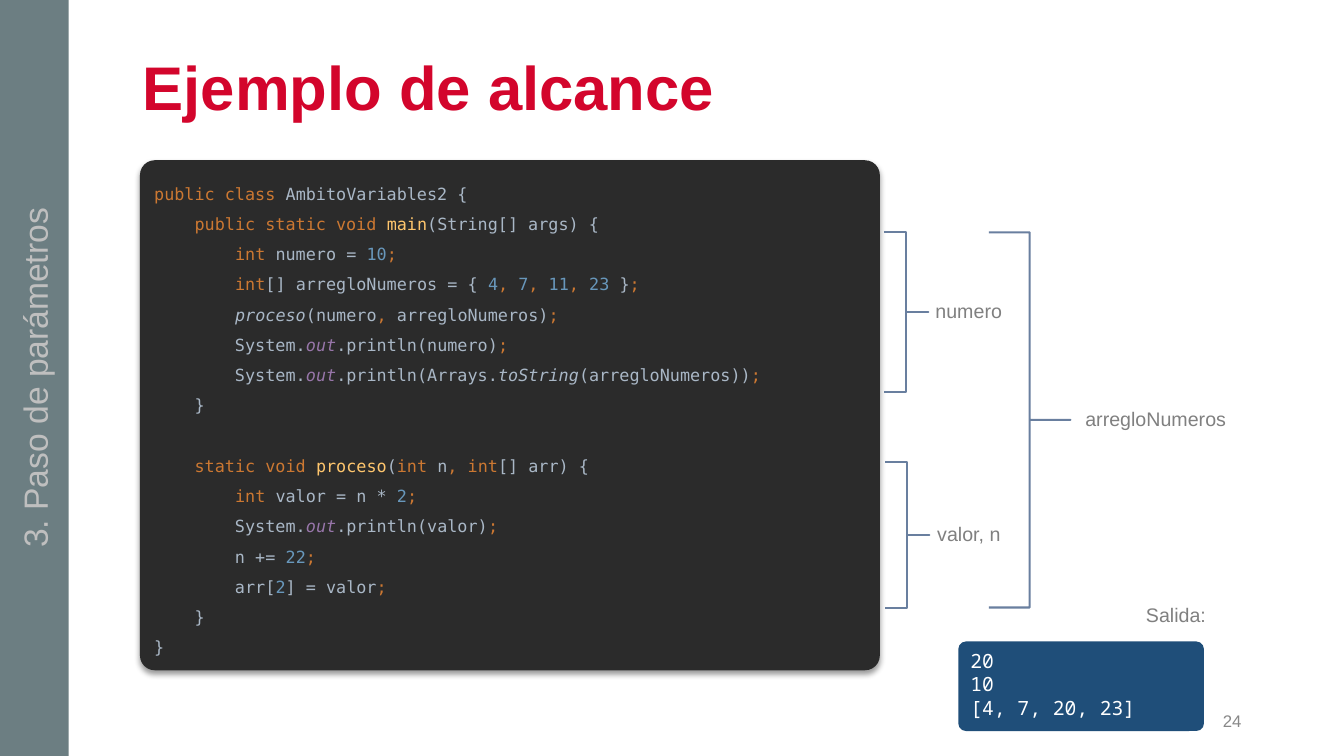
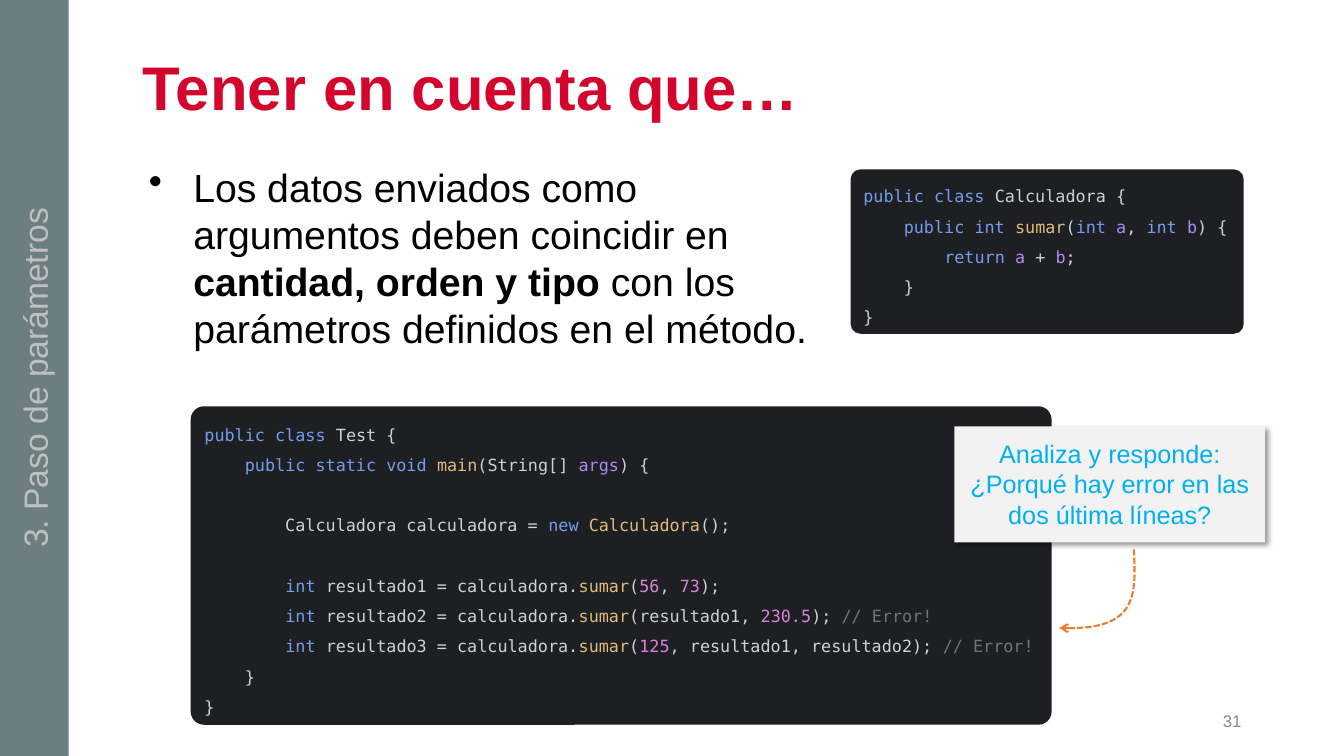
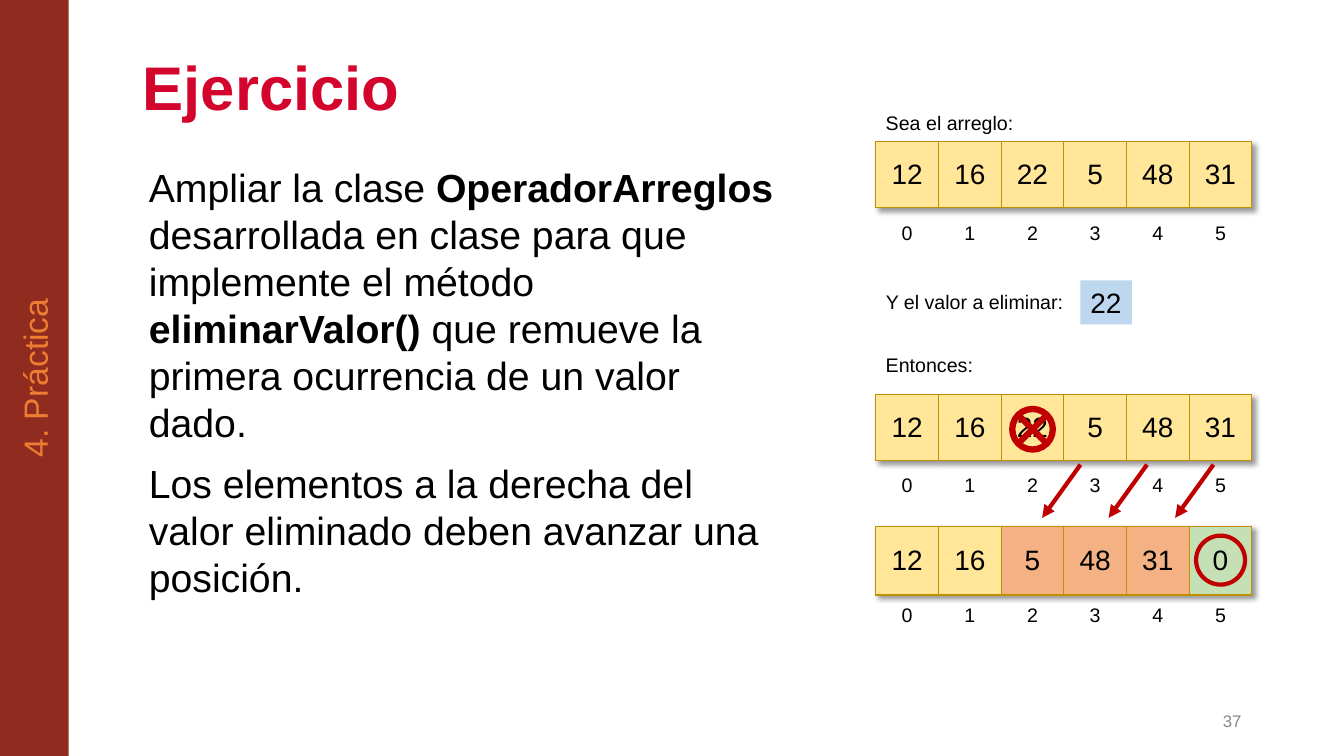
from copy import deepcopy

from lxml import etree
from pptx import Presentation
from pptx.dml.color import RGBColor
from pptx.enum.dml import MSO_LINE
from pptx.enum.shapes import MSO_CONNECTOR, MSO_SHAPE
from pptx.enum.text import MSO_ANCHOR, MSO_AUTO_SIZE, PP_ALIGN
from pptx.oxml.ns import qn
from pptx.util import Pt

RECTANGLE, ROUNDED = MSO_SHAPE.RECTANGLE, MSO_SHAPE.ROUNDED_RECTANGLE
BRACE, OVAL = MSO_SHAPE.RIGHT_BRACE, MSO_SHAPE.OVAL
JUNCTION = MSO_SHAPE.FLOWCHART_SUMMING_JUNCTION
STRAIGHT, DASHED = MSO_CONNECTOR.STRAIGHT, MSO_LINE.SQUARE_DOT
LEFT, CENTER, RIGHT = PP_ALIGN.LEFT, PP_ALIGN.CENTER, PP_ALIGN.RIGHT
TOP, MIDDLE = MSO_ANCHOR.TOP, MSO_ANCHOR.MIDDLE
GROW, FIXED = MSO_AUTO_SIZE.SHAPE_TO_FIT_TEXT, MSO_AUTO_SIZE.NONE

COLORS = {
    "title": "D3052C", "number": "888888", "black": "000000", "white": "FFFFFF",
    "slate": "6C7E82", "silver": "BFBFBF", "brick": "902B1F", "orange": "ED7D31",
    "brace": "697F9F", "label": "808080", "output": "1F4E79",
    "note": "F2F2F2", "question": "00B0F0",
    "cell": "FFE699", "moved": "F4B183", "freed": "C5E0B4", "border": "BF9000",
    "value": "BDD7EE", "mark": "C00000",
    "dark": "2B2B2B", "dark_text": "A9B7C6", "dark_keyword": "CC7832",
    "dark_method": "FFC66D", "dark_number": "6897BB", "dark_field": "9876AA",
    "ink": "1E1F22", "ink_text": "CED0D6", "ink_keyword": "749DED",
    "ink_method": "DEBC7E", "ink_number": "D981DE", "ink_name": "B189F5",
    "ink_comment": "6F737A",
}
PROSE_TAGS = {"b": {"bold": True}}
DARK_TAGS = {
    "k": {"color": "dark_keyword"}, "m": {"color": "dark_method"},
    "n": {"color": "dark_number"}, "i": {"italic": True},
    "f": {"color": "dark_field", "italic": True},
}
INK_TAGS = {
    "k": {"color": "ink_keyword"}, "m": {"color": "ink_method"},
    "n": {"color": "ink_number"}, "p": {"color": "ink_name"},
    "c": {"color": "ink_comment"},
}
NO_GRID_STYLE = "{2D5ABB26-0587-4C30-8999-92F81FD0307C}"
CELL = 44.77
INDEX_HEIGHT = 29.5

SCOPE_CODE = """`kpublic class `AmbitoVariables2 {
    `kpublic static void `` `mmain`(String[] args) {
        `kint `numero = `n10``k;`
        `kint`[] arregloNumeros = { `n4``k, ``n7``k, ``n11``k, ``n23 `}`k;`
        `iproceso`(numero`k, `arregloNumeros)`k;`
        System.`fout`.println(numero)`k;`
        System.`fout`.println(Arrays.`itoString`(arregloNumeros))`k;`
    }

    `kstatic void ``mproceso`(`kint `n`k, int`[] arr) {
        `kint `valor = n * `n2``k;`
        System.`fout`.println(valor)`k;`
        n += `n22``k;`
        arr[`n2`] = valor`k;`
    }
}""".replace("`` `m", "``m")
ADDER_CODE = """`kpublic class `Calculadora {
    `kpublic int ``msumar`(`kint ``pa`, `kint ``pb`) {
        `kreturn ``pa `+ `pb`;
    }
}"""
TEST_CODE = """`kpublic class `Test {
    `kpublic static void ``mmain`(String[] `pargs`) {

        Calculadora calculadora = `knew ``mCalculadora`();

        `kint `resultado1 = calculadora.`msumar`(`n56`, `n73`);
        `kint `resultado2 = calculadora.`msumar`(resultado1, `n230.5`); `c// Error!`
        `kint `resultado3 = calculadora.`msumar`(`n125`, resultado1, resultado2); `c// Error!`
    }
}"""


def rgb(name):
    """Return the named colour."""
    return RGBColor.from_string(COLORS[name])


def add_span(para, text, size, color, font="Arial", bold=False, italic=False):
    """Add one run per line of text, with line breaks of the same size."""
    for number, line in enumerate(text.split("\n")):
        if number:
            para.add_line_break()
            para._p[-1].append(deepcopy(para.runs[-1]._r.rPr))
        if line:
            span = para.add_run()
            span.text = line
            span.font.name, span.font.size = font, Pt(size)
            span.font.bold, span.font.italic = bold, italic
            span.font.color.rgb = rgb(color)


def write(frame, *texts, align=LEFT, anchor=TOP, wrap=True, grow=False, inset=3.6,
          spacing=1, gap=0, indent=(0, 0), bullet=None, tags=PROSE_TAGS, **style):
    """Write paragraphs; text between backticks takes the style of its first letter."""
    frame.word_wrap, frame.vertical_anchor = wrap, anchor
    frame.auto_size = GROW if grow else FIXED
    frame.margin_left = frame.margin_right = Pt(7.2)
    frame.margin_top = frame.margin_bottom = Pt(inset)
    for number, text in enumerate(texts):
        para = frame.add_paragraph() if number else frame.paragraphs[0]
        para.alignment, para.line_spacing = align, spacing
        para.space_before = Pt(gap if number else 0)
        properties = para._p.get_or_add_pPr()
        properties.set("marL", str(Pt(indent[0])))
        properties.set("indent", str(Pt(indent[1])))
        if bullet:
            etree.SubElement(properties, qn("a:buChar")).set("char", bullet)
        for position, piece in enumerate(text.split("`")):
            if position % 2:
                add_span(para, piece[1:], **{**style, **tags[piece[0]]})
            else:
                add_span(para, piece, **style)


def add_text(page, box, *texts, **style):
    """Add a text box."""
    write(page.shapes.add_textbox(*map(Pt, box)).text_frame, *texts, **style)


def add_label(page, box, text, color="black"):
    """Add a short one-line label."""
    add_text(page, box, text, size=14, color=color, wrap=False, grow=True)


def paint(shape, fill=None, line=None, weight=1):
    """Set the fill and line of a shape and drop its shadow."""
    shape.shadow.inherit = False
    if fill:
        shape.fill.solid()
        shape.fill.fore_color.rgb = rgb(fill)
    else:
        shape.fill.background()
    if line:
        shape.line.color.rgb, shape.line.width = rgb(line), Pt(weight)
    else:
        shape.line.fill.background()


def add_shape(page, kind, box, corner=None, **look):
    """Add a painted preset shape, with a corner radius in points if given."""
    shape = page.shapes.add_shape(kind, *map(Pt, box))
    paint(shape, **look)
    if corner:
        shape.adjustments[0] = corner / min(box[2:])
    return shape


def fill_shadow(effects, angle):
    """Put a soft outer shadow in an effect list."""
    shadow = etree.SubElement(effects, qn("a:outerShdw"), blurRad=str(Pt(4)),
                              dist=str(Pt(3)), dir=str(angle * 60000),
                              algn="tl", rotWithShape="0")
    color = etree.SubElement(shadow, qn("a:srgbClr"), val=COLORS["black"])
    etree.SubElement(color, qn("a:alpha"), val="40000")


def add_arrowhead(line, kind):
    """End a line with an arrowhead."""
    etree.SubElement(line._get_or_add_ln(), qn("a:tailEnd"), type=kind)


def start_page(deck, title, number, section, band, section_color):
    """Add a page with its title, number and section band."""
    page = deck.slides.add_slide(deck.slide_layouts[6])
    add_text(page, (95, 33.8, 799, 62), title, size=44, color="title", bold=True,
             spacing=0.9, anchor=MIDDLE)
    add_text(page, (678, 500.5, 216, 28.8), number, size=12, color="number",
             align=RIGHT, anchor=MIDDLE)
    side = add_shape(page, RECTANGLE, (0, 0, 49, 540), fill=band)
    write(side.text_frame, section, size=24, color=section_color, align=CENTER,
          anchor=MIDDLE)
    side.text_frame._txBody.bodyPr.set("vert", "vert270")
    return page


def add_code(page, box, code, theme, tags, corner, wrap=False):
    """Add a code panel."""
    panel = add_shape(page, ROUNDED, box, corner, fill=theme)
    write(panel.text_frame, code, size=12, color=theme + "_text", tags=tags,
          font="DejaVu Sans Mono", spacing=1.5, anchor=MIDDLE, wrap=wrap, grow=True)
    return panel


def add_scope(page, box, name, width, gap):
    """Add a square brace with the name of its variable at the tip."""
    left, top, breadth, height = box
    brace = add_shape(page, BRACE, box, line="brace", weight=1.5)
    brace.adjustments[0], brace.adjustments[1] = 0, 0.5
    add_label(page, (left + breadth + gap, top + height / 2 - 13, width, 24.2), name,
              "label")


def add_output(page, box, lines):
    """Add the console output with its label above."""
    left, top, width, height = box
    add_label(page, (left + width - 48.5, top - 31, 57.6, 24.2), "Salida:", "label")
    panel = add_shape(page, ROUNDED, box, 5.5, fill="output")
    write(panel.text_frame, *lines, size=14, color="white", font="Noto Sans Mono")


def add_note(page, box, lines):
    """Add a shadowed note with a dashed curved arrow below it."""
    left, top, width, height = box
    note = add_shape(page, RECTANGLE, box, fill="note")
    fill_shadow(note._element.spPr.find(qn("a:effectLst")), 45)
    write(note.text_frame, *lines, size=18, color="question", align=CENTER, inset=8.6)
    right, start = left + width - 93.7, top + height + 5
    controls = ((right, start), (right + 2, start + 35.3),
                (right + 1.5, start + 58.4), (right - 53.3, start + 56.2))
    points = [curve_point(controls, step / 24) for step in range(25)]
    builder = page.shapes.build_freeform(*points[0])
    builder.add_line_segments(points[1:], close=False)
    curve = builder.convert_to_shape()
    paint(curve, line="orange", weight=1.5)
    curve.line.dash_style = DASHED
    add_arrowhead(curve.line, "arrow")


def curve_point(controls, share):
    """Return the point at a share of a cubic curve."""
    rest = 1 - share
    weights = (rest ** 3, 3 * rest ** 2 * share, 3 * rest * share ** 2, share ** 3)
    return [Pt(sum(weight * control[axis] for weight, control in zip(weights, controls)))
            for axis in (0, 1)]


def add_row(page, left, top, height, values, size, fills=None):
    """Add a one-row table, bordered and shadowed when it has fills."""
    table = page.shapes.add_table(1, len(values), Pt(left), Pt(top),
                                  Pt(CELL * len(values)), Pt(height)).table
    table.first_row = table.horz_banding = False
    properties = table._tbl.tblPr
    properties.find(qn("a:tableStyleId")).text = NO_GRID_STYLE
    if fills:
        effects = etree.Element(qn("a:effectLst"))
        properties.insert(0, effects)
        fill_shadow(effects, 45)
    table.rows[0].height = Pt(height)
    for column, value in enumerate(values):
        table.columns[column].width = Pt(CELL)
        cell = table.cell(0, column)
        write_cell(cell, value, size)
        if fills:
            add_borders(cell)
            cell.fill.solid()
            cell.fill.fore_color.rgb = rgb(fills[column])
        else:
            cell.fill.background()


def write_cell(cell, value, size):
    """Centre a value in a table cell."""
    cell.vertical_anchor = MIDDLE
    para = cell.text_frame.paragraphs[0]
    para.alignment = CENTER
    add_span(para, str(value), size, "black")


def add_borders(cell):
    """Draw the four borders of a table cell."""
    for side in ("a:lnL", "a:lnR", "a:lnT", "a:lnB"):
        border = etree.SubElement(cell._tc.get_or_add_tcPr(), qn(side), w=str(Pt(1)))
        fill = etree.SubElement(border, qn("a:solidFill"))
        etree.SubElement(fill, qn("a:srgbClr"), val=COLORS["border"])


def add_array(page, left, top, height, values, fills, gap):
    """Add an array with its indices below."""
    add_row(page, left, top, height, values, 20, fills)
    add_row(page, left, top + height + gap, INDEX_HEIGHT, range(len(values)), 14)


def add_mark(page, kind, center, size, weight):
    """Add an unfilled mark around a centre."""
    add_shape(page, kind, (center[0] - size / 2, center[1] - size / 2, size, size),
              line="mark", weight=weight)


def add_shift(page, left, top):
    """Add an arrow that points down and left."""
    arrow = page.shapes.add_connector(STRAIGHT, Pt(left), Pt(top),
                                      Pt(left - 27.4), Pt(top + 38))
    arrow.line.color.rgb, arrow.line.width = rgb("mark"), Pt(3)
    add_arrowhead(arrow.line, "triangle")
    etree.SubElement(arrow._element.spPr, qn("a:effectLst"))


def add_removal(page, left, top):
    """Add the diagram of a value removed from an array."""
    values, plain = (12, 16, 22, 5, 48, 31), ["cell"] * 6
    shifted = ["cell"] * 2 + ["moved"] * 3 + ["freed"]
    add_array(page, left, top + 25.2, 47.5, values, plain, 3.6)
    add_array(page, left, top + 300.2, 49.2, (12, 16, 5, 48, 31, 0), shifted, 0)
    chip = add_shape(page, RECTANGLE, (left + 146.2, top + 124.6, 36.7, 31.5), fill="value")
    write(chip.text_frame, "22", size=20, color="black", wrap=False, grow=True)
    for text, offset, width in (("Sea el arreglo:", 0, 105.8),
                                ("Y el valor a eliminar:", 128.2, 142.6),
                                ("Entonces:", 172.8, 77)):
        add_label(page, (left, top + offset, width, 24.2), text)
    add_array(page, left, top + 205.9, 47.5, values, plain, 2.9)
    add_mark(page, JUNCTION, (left + 2.5 * CELL, top + 231), 29, 4.5)
    for step in range(3):
        add_shift(page, left + 146.2 + step * 47.5, top + 256.3)
    add_mark(page, OVAL, (left + 5.5 * CELL, top + 324.5), 35, 3)


def build_scope_page(deck):
    """Build the page on the scope of variables."""
    page = start_page(deck, "Ejemplo de alcance", "24", "3. Paso de parámetros",
                      "slate", "silver")
    panel = add_code(page, (100, 114.5, 528.5, 364.3), SCOPE_CODE, "dark", DARK_TAGS,
                     10.6, wrap=True)
    fill_shadow(panel._element.spPr.find(qn("a:effectLst")), 90)
    add_scope(page, (706.3, 166, 58.3, 268), "arregloNumeros", 115.2, 3.6)
    add_scope(page, (631.4, 166, 31.7, 114), "numero", 62, -2)
    add_scope(page, (632.2, 329.8, 31.7, 104.4), "valor, n", 60.5, -1.5)
    add_output(page, (684.5, 458.2, 175.5, 64), ("20", "10", "[4, 7, 20, 23]"))


def build_argument_page(deck):
    """Build the page on matching arguments and parameters."""
    page = start_page(deck, "Tener en cuenta que…", "31", "3. Paso de parámetros",
                      "slate", "silver")
    add_text(page, (95, 113, 504, 376.5),
             "Los datos enviados como argumentos deben coincidir en "
             "`bcantidad, orden y tipo` con los parámetros definidos en el método.",
             size=28, color="black", indent=(36, -31.7), bullet="•")
    add_code(page, (607.6, 121, 280.8, 117.4), ADDER_CODE, "ink", INK_TAGS, 7)
    add_code(page, (136.2, 290.2, 615, 227.5), TEST_CODE, "ink", INK_TAGS, 9.5)
    add_note(page, (681.8, 304.6, 221.8, 82.8),
             ("Analiza y responde:", "¿Porqué hay error en las dos última líneas?"))


def build_exercise_page(deck):
    """Build the page with the exercise."""
    page = start_page(deck, "Ejercicio", "37", "4. Práctica", "brick", "orange")
    add_text(page, (95, 113, 465, 376.5),
             "Ampliar la clase `bOperadorArreglos` desarrollada en clase para que "
             "implemente el método `beliminarValor()` que remueve la primera "
             "ocurrencia de un valor dado.",
             "Los elementos a la derecha del valor eliminado deben avanzar una posición.",
             size=28, color="black", indent=(4.3, 0), gap=10)
    add_removal(page, 625.6, 75.6)


def main():
    """Build and save the deck."""
    deck = Presentation()
    deck.slide_width, deck.slide_height = Pt(960), Pt(540)
    build_scope_page(deck)
    build_argument_page(deck)
    build_exercise_page(deck)
    deck.save("out.pptx")


if __name__ == "__main__":
    main()
